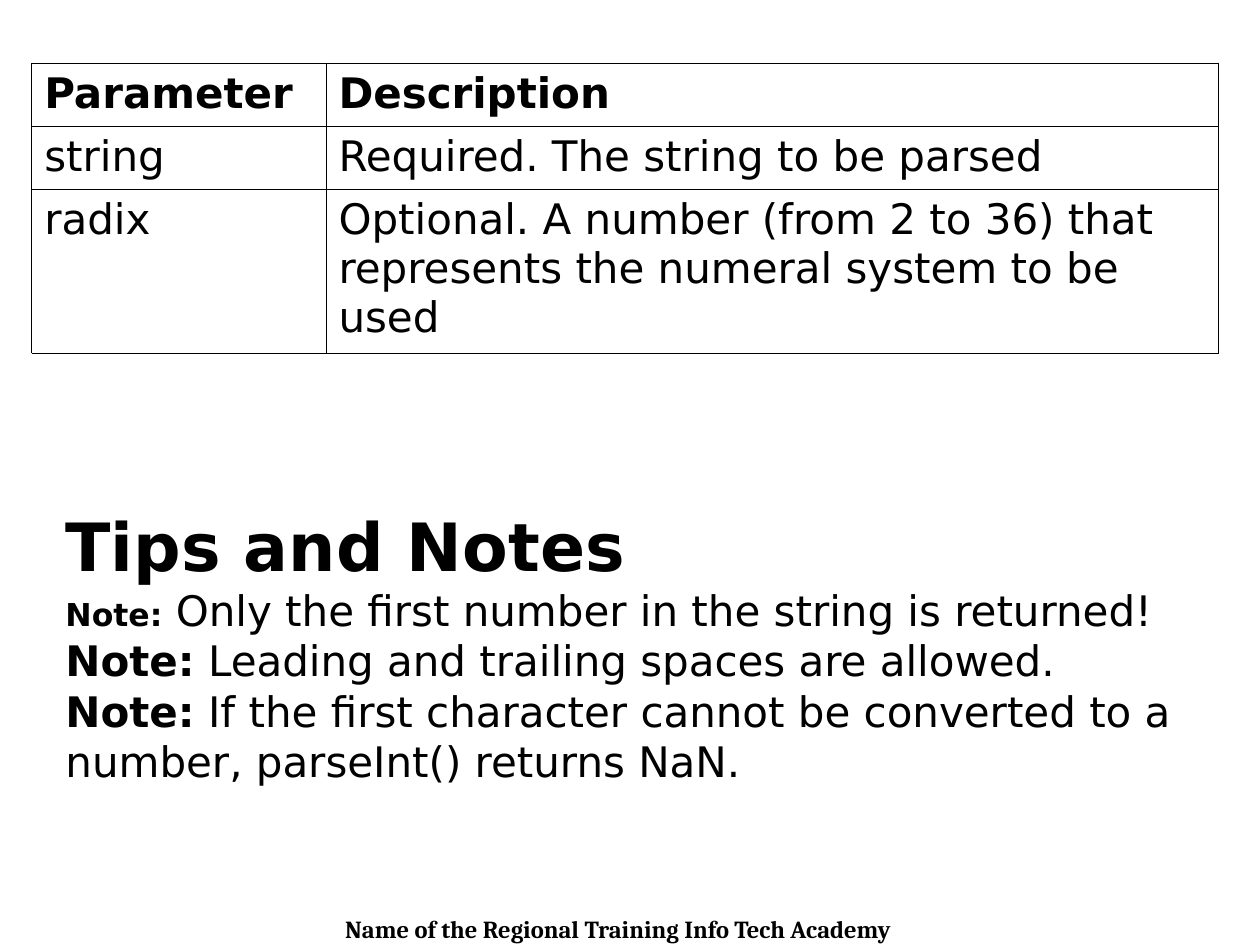
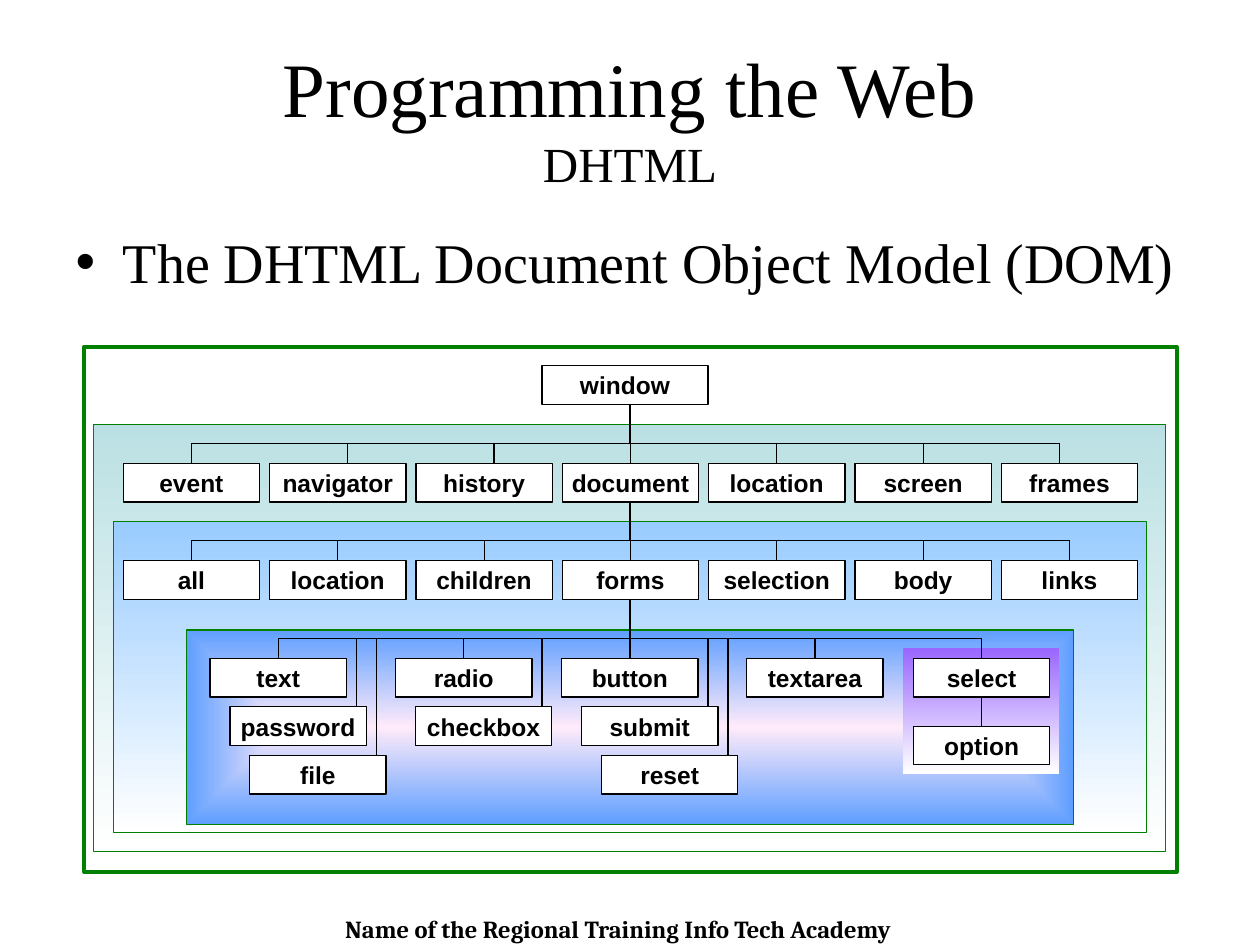
import pptx
import pptx.dml.color
import pptx.enum.shapes
import pptx.enum.text
import pptx.oxml
import pptx.oxml.ns
import pptx.util
from pptx.util import Cm, Pt

BLACK = pptx.dml.color.RGBColor(0x00, 0x00, 0x00)
WHITE = pptx.dml.color.RGBColor(0xFF, 0xFF, 0xFF)
GREEN = pptx.dml.color.RGBColor(0x00, 0x80, 0x00)
TEAL = pptx.dml.color.RGBColor(0xBB, 0xE0, 0xE3)
SKY = pptx.dml.color.RGBColor(0x99, 0xCC, 0xFF)
PINK = pptx.dml.color.RGBColor(0xFF, 0xEB, 0xFA)
BLUE = pptx.dml.color.RGBColor(0x5E, 0x9E, 0xFF)
PURPLE = pptx.dml.color.RGBColor(0x99, 0x66, 0xFF)

SANS = "DejaVu Sans"
SERIF = "Times New Roman"
THIN = Pt(0.74)
DRAWING = pptx.oxml.ns.nsdecls("a")
MIDDLE = pptx.enum.text.MSO_ANCHOR.MIDDLE
CENTER = pptx.enum.text.PP_ALIGN.CENTER


def add_rectangle(slide, left, top, width, height, colours, line_colour, line_width=THIN):
    """Add a rectangle in centimetres, filled plain or with a downward gradient."""
    shape = slide.shapes.add_shape(
        pptx.enum.shapes.MSO_SHAPE.RECTANGLE, Cm(left), Cm(top), Cm(width), Cm(height))
    shape.shadow.inherit = False
    if len(colours) == 1:
        shape.fill.solid()
        shape.fill.fore_color.rgb = colours[0]
    else:
        shape.fill.gradient()
        shape.fill.gradient_angle = 270
        for stop, colour in zip(shape.fill.gradient_stops, colours):
            stop.color.rgb = colour
    if line_colour is None:
        shape.line.fill.background()
    else:
        shape.line.color.rgb = line_colour
        shape.line.width = line_width
    return shape


def add_line(slide, start_x, start_y, end_x, end_y):
    """Add a thin black line between two points in centimetres."""
    line = slide.shapes.add_connector(
        pptx.enum.shapes.MSO_CONNECTOR.STRAIGHT,
        Cm(start_x), Cm(start_y), Cm(end_x), Cm(end_y))
    line.line.color.rgb = BLACK
    line.line.width = THIN
    line.element.spPr.append(pptx.oxml.parse_xml(f"<a:effectLst {DRAWING}/>"))


presentation = pptx.Presentation()
presentation.slide_width = Cm(25.4)
presentation.slide_height = Cm(19.05)
parse_slide = presentation.slides.add_slide(presentation.slide_layouts[6])
dom_slide = presentation.slides.add_slide(presentation.slide_layouts[1])

# Shared footer: made on a slide, then moved to the master
footer = parse_slide.shapes.add_textbox(Cm(0.64), Cm(18.31), Cm(23.65), Cm(0.86))
footer.text_frame.word_wrap = True
paragraph = footer.text_frame.paragraphs[0]
paragraph.text = "Name of the Regional Training Info Tech Academy"
paragraph.alignment = CENTER
paragraph.font.name = "Cambria"
paragraph.font.size = Pt(14)
paragraph.font.bold = True
paragraph.font.color.rgb = BLACK
presentation.slide_master.shapes.element.append(footer.element)

# Slide 1: parameter table
ROWS = [
    ("Parameter", "Description"),
    ("string", "Required. The string to be parsed"),
    ("radix", "Optional. A number (from 2 to 36) that represents "
              "the numeral system to be used"),
]
table = parse_slide.shapes.add_table(
    3, 2, Cm(0.64), Cm(1.27), Cm(23.92), Cm(5.84)).table
table.first_row = False
table.horz_banding = False
for column, width in zip(table.columns, (5.93, 17.99)):
    column.width = Cm(width)
for row, height, texts in zip(table.rows, (1.27, 1.27, 3.3), ROWS):
    row.height = Cm(height)
    for cell, text in zip(row.cells, texts):
        cell.text = text
        cell.fill.background()
        paragraph = cell.text_frame.paragraphs[0]
        paragraph.font.name = SANS
        paragraph.font.size = Pt(24)
        paragraph.font.bold = texts is ROWS[0]
        paragraph.font.color.rgb = BLACK
        properties = cell._tc.get_or_add_tcPr()
        for position, side in enumerate(("lnL", "lnR", "lnT", "lnB")):
            properties.insert(position, pptx.oxml.parse_xml(
                f'<a:{side} {DRAWING} w="{Pt(0.34)}"><a:solidFill>'
                f'<a:srgbClr val="{BLACK}"/></a:solidFill></a:{side}>'))

# Slide 1: notes, each line a list of (text, size, bold)
NOTES = [
    [("Tips and Notes", 38, True)],
    [("Note:", 18, True), (" Only the first number in the string is returned!", 24, False)],
    [("Note:", 24, True), (" Leading and trailing spaces are allowed.", 24, False)],
    [("Note:", 24, True), (" If the first character cannot be converted to a number, "
                           "parseInt() returns NaN.", 24, False)],
]
notes_frame = parse_slide.shapes.add_textbox(
    Cm(1.07), Cm(9.86), Cm(23.06), Cm(6.3)).text_frame
notes_frame.word_wrap = True
notes_frame.vertical_anchor = MIDDLE
notes_frame.margin_top = notes_frame.margin_bottom = Cm(0.3)
for index, note in enumerate(NOTES):
    paragraph = notes_frame.add_paragraph() if index else notes_frame.paragraphs[0]
    paragraph.font.name = SANS
    for text, size, bold in note:
        run = paragraph.add_run()
        run.text = text
        run.font.name = SANS
        run.font.size = Pt(size)
        run.font.bold = bold
        run.font.color.rgb = BLACK

# Slide 2: title and bullet
title = dom_slide.shapes.title
title.left, title.top, title.width, title.height = Cm(1.27), Cm(0.76), Cm(22.86), Cm(3.18)
title.text_frame.vertical_anchor = MIDDLE
paragraph = title.text_frame.paragraphs[0]
paragraph.alignment = CENTER
for text, size in (("Programming the Web", 44), ("DHTML", 28)):
    if paragraph.runs:
        paragraph.add_line_break()
    run = paragraph.add_run()
    run.text = text
    run.font.name = SERIF
    run.font.size = Pt(size)
    run.font.color.rgb = BLACK

body = dom_slide.placeholders[1]
body.left, body.top, body.width, body.height = Cm(1.27), Cm(4.45), Cm(22.86), Cm(12.57)
paragraph = body.text_frame.paragraphs[0]
paragraph.text = "The DHTML Document Object Model (DOM)"
paragraph.space_before = Pt(8)
paragraph.font.name = SERIF
paragraph.font.size = Pt(32)
paragraph.font.color.rgb = BLACK

# Slide 2: nested panels
add_rectangle(dom_slide, 1.7, 6.99, 22.02, 10.59, [WHITE], GREEN, Pt(2.24))
add_rectangle(dom_slide, 1.88, 8.56, 21.62, 8.61, [TEAL, WHITE], GREEN)
add_rectangle(dom_slide, 2.29, 10.52, 20.83, 6.27, [SKY, WHITE], GREEN)
forms_panel = add_rectangle(dom_slide, 3.76, 12.7, 17.88, 3.92, [PINK, BLUE], GREEN)
linear = forms_panel.element.spPr.find(".//" + pptx.oxml.ns.qn("a:lin"))
linear.getparent().replace(linear, pptx.oxml.parse_xml(
    f'<a:path {DRAWING} path="rect"><a:fillToRect l="50000" t="50000" '
    'r="50000" b="50000"/></a:path>'))
add_rectangle(dom_slide, 18.21, 13.06, 3.15, 2.54, [PURPLE, WHITE], None)

# Slide 2: object tree
NODE_WIDTH, NODE_HEIGHT = 2.75, 0.78
PITCH, FIRST_CENTER, TRUNK = 2.95, 3.86, 12.7
BUS_GAP = 0.4           # from a bus down to its row of nodes
STACK_X, STACK_Y = 0.4, 0.98   # offset of each node stacked under a form field
WINDOW_TOP, WINDOW_PROPERTIES_TOP, DOCUMENT_TOP, FIELDS_TOP = 7.37, 9.34, 11.3, 13.27
OPTION_TOP = 14.64

# Each row: top, names, shift of each drop line from the node's centre
OBJECT_ROWS = [
    (WINDOW_PROPERTIES_TOP,
     ("event", "navigator", "history", "document", "location", "screen", "frames"),
     (0, 0.2, 0.2, 0, 0, 0, -0.2)),
    (DOCUMENT_TOP,
     ("all", "location", "children", "forms", "selection", "body", "links"),
     (0,) * 7),
]
FIELD_STACKS = [
    (5.61, ("text", "password", "file")),
    (9.35, ("radio", "checkbox")),
    (TRUNK, ("button", "submit", "reset")),
    (16.43, ("textarea",)),
    (19.79, ("select",)),
]
nodes = [("window", 12.6, WINDOW_TOP, 3.35)]

for top, names, shifts in OBJECT_ROWS:
    bus = top - BUS_GAP
    centers = [FIRST_CENTER + PITCH * column for column in range(len(names))]
    drops = [center + shift for center, shift in zip(centers, shifts)]
    add_line(dom_slide, drops[0], bus, drops[-1], bus)
    for name, center, drop in zip(names, centers, drops):
        nodes.append((name, center, top, NODE_WIDTH))
        add_line(dom_slide, drop, bus, drop, top)

fields_bus = FIELDS_TOP - BUS_GAP
select_center = FIELD_STACKS[-1][0]
add_line(dom_slide, FIELD_STACKS[0][0], fields_bus, select_center, fields_bus)
for stack_center, names in FIELD_STACKS:
    for level, name in enumerate(names):
        center = stack_center + STACK_X * level
        top = FIELDS_TOP + STACK_Y * level
        drop = center + NODE_WIDTH / 2 - 0.2 if level else center
        nodes.append((name, center, top, NODE_WIDTH))
        add_line(dom_slide, drop, fields_bus, drop, top)

nodes.append(("option", select_center, OPTION_TOP, NODE_WIDTH))
add_line(dom_slide, select_center, FIELDS_TOP + NODE_HEIGHT, select_center, OPTION_TOP)
for parent_top, end in ((WINDOW_TOP, WINDOW_PROPERTIES_TOP - BUS_GAP),
                        (WINDOW_PROPERTIES_TOP, DOCUMENT_TOP - BUS_GAP),
                        (DOCUMENT_TOP, fields_bus)):
    add_line(dom_slide, TRUNK, parent_top + NODE_HEIGHT, TRUNK, end)

for name, center, top, width in nodes:
    node = add_rectangle(
        dom_slide, center - width / 2, top, width, NODE_HEIGHT, [WHITE], BLACK)
    node.text_frame.word_wrap = False
    node.text_frame.vertical_anchor = MIDDLE
    paragraph = node.text_frame.paragraphs[0]
    paragraph.text = name
    paragraph.alignment = CENTER
    paragraph.font.name = "Arial"
    paragraph.font.size = Pt(14)
    paragraph.font.bold = True
    paragraph.font.color.rgb = BLACK

presentation.save("out.pptx")
